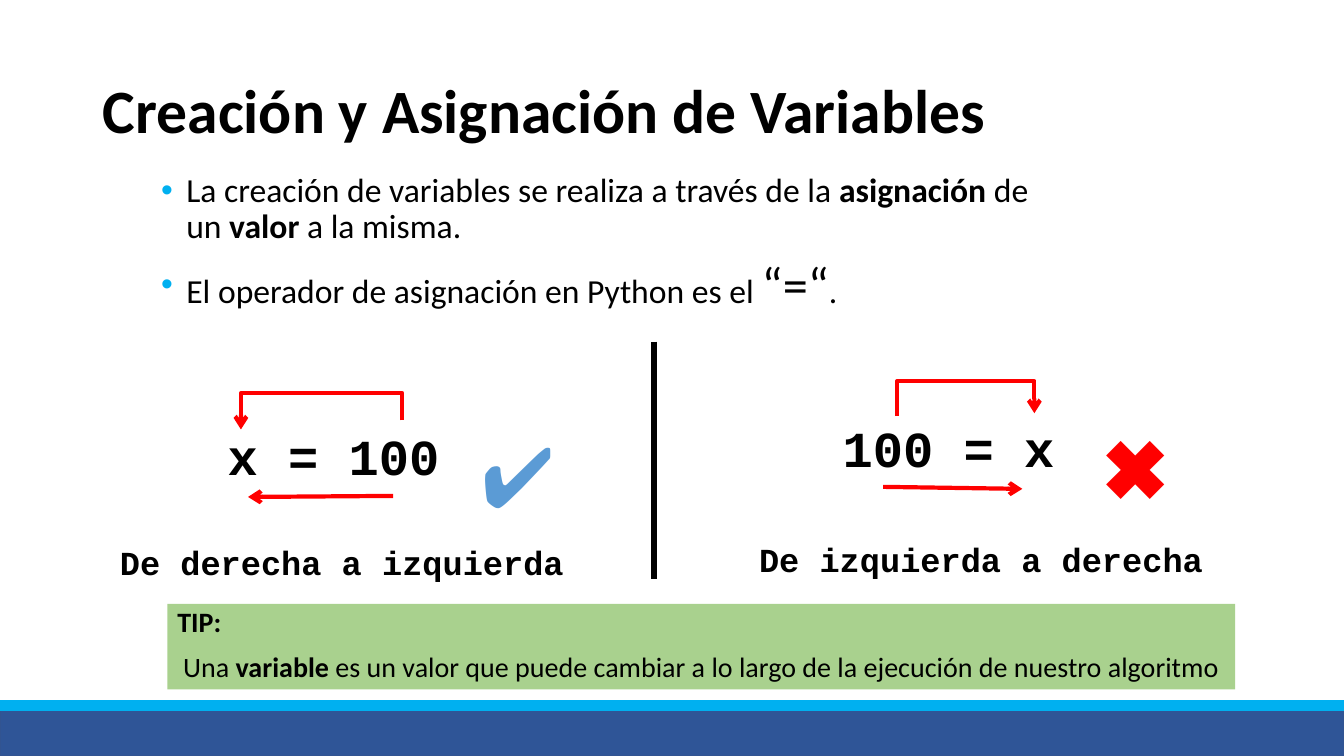
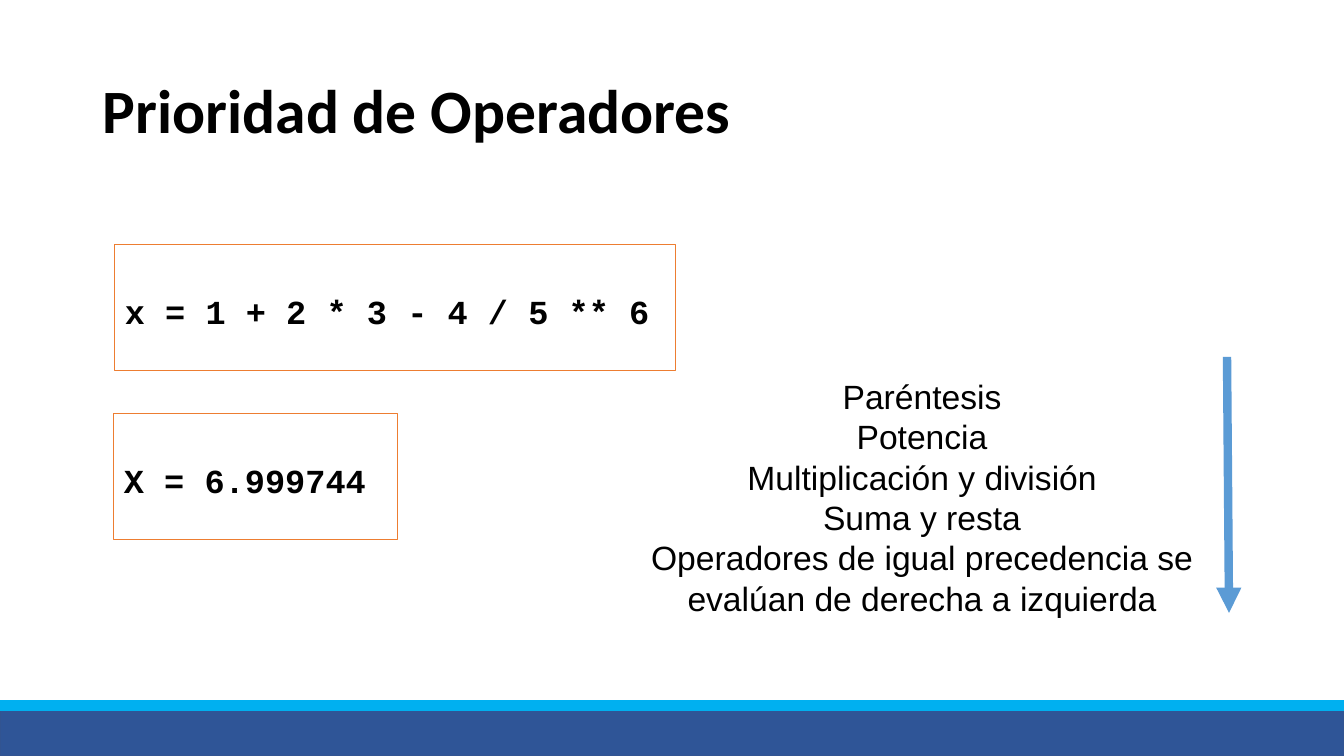
from lxml import etree
from pptx import Presentation
from pptx.dml.color import RGBColor
from pptx.enum.shapes import MSO_CONNECTOR as CONNECTOR, MSO_SHAPE as SHAPE
from pptx.enum.text import MSO_ANCHOR as ANCHOR, PP_ALIGN as ALIGN
from pptx.oxml.ns import qn
from pptx.util import Inches, Pt

NAVY = RGBColor(0x2F, 0x55, 0x97)
NAVY_EDGE = RGBColor(0x32, 0x54, 0x91)
CYAN = RGBColor(0x00, 0xB0, 0xF0)
BLACK = RGBColor(0x00, 0x00, 0x00)
RED = RGBColor(0xFF, 0x00, 0x00)
BLUE = RGBColor(0x5B, 0x9B, 0xD5)
GREEN = RGBColor(0xA9, 0xD1, 0x8E)
ORANGE = RGBColor(0xED, 0x7D, 0x31)
CODE = "Courier New"


def write(frame, *paragraphs, size=24, font="Calibri", color=BLACK, bold=False,
          align=ALIGN.LEFT, spacing=1.0, before=0, bullet=None, anchor=ANCHOR.TOP):
    """Fill a frame; a paragraph is a string or a list of strings and (text, size, bold)."""
    frame.word_wrap = True
    frame.vertical_anchor = anchor
    for i, content in enumerate(paragraphs):
        paragraph = frame.paragraphs[0] if i == 0 else frame.add_paragraph()
        paragraph.alignment = align
        paragraph.line_spacing = spacing
        paragraph.space_before = Pt(before if i else 0)
        if bullet:
            props = paragraph._p.get_or_add_pPr()
            props.set("marL", str(Inches(0.25)))
            props.set("indent", str(-Inches(0.25)))
            bullet_color = etree.SubElement(props, qn("a:buClr"))
            etree.SubElement(bullet_color, qn("a:srgbClr")).set("val", str(bullet))
            etree.SubElement(props, qn("a:buFont")).set("typeface", "Arial")
            etree.SubElement(props, qn("a:buChar")).set("char", "•")
        for part in [content] if isinstance(content, str) else content:
            words, points, strong = (part, size, bold) if isinstance(part, str) else part
            run = paragraph.add_run()
            run.text = words
            run.font.name, run.font.size, run.font.bold = font, Pt(points), strong
            run.font.color.rgb = color


def style_line(connector, color, width, head=None):
    connector.line.color.rgb = color
    connector.line.width = Pt(width)
    if head:
        outline = connector.line._get_or_add_ln()
        etree.SubElement(outline, qn("a:tailEnd")).set("type", head)
    etree.SubElement(connector._element.spPr, qn("a:effectLst"))


prs = Presentation()
prs.slide_width, prs.slide_height = Inches(13.33), Inches(7.5)
title_only = prs.slide_layouts[5]

# Shared layout: a title and no date, footer or number
for holder in list(title_only.placeholders)[1:]:
    holder.element.getparent().remove(holder.element)

# Shared title style
slides = []
for heading in ("Creación y Asignación de Variables", "Prioridad de Operadores"):
    slide = prs.slides.add_slide(title_only)
    title = slide.shapes.title
    title.left, title.top = Inches(0.92), Inches(0.4)
    title.width, title.height = Inches(11.5), Inches(1.45)
    write(title.text_frame, heading, size=44, bold=True, spacing=0.9, anchor=ANCHOR.MIDDLE)
    slides.append(slide)
assignment, priority = [slide.shapes for slide in slides]

# Shared bottom bands, moved into the layout
for top, height, fill, edge in ((7.03, 0.47, NAVY, NAVY_EDGE), (6.95, 0.1, CYAN, CYAN)):
    band = assignment.add_shape(SHAPE.RECTANGLE, 0, Inches(top), prs.slide_width, Inches(height))
    band.shadow.inherit = False
    band.fill.solid()
    band.fill.fore_color.rgb = fill
    band.line.color.rgb = edge
    band.line.width = Pt(1)
    title_only.shapes.element.append(band.element)

# Slide 1: explanation
explanation = assignment.add_textbox(Inches(1.5), Inches(1.67), Inches(9), Inches(1.92))
write(explanation.text_frame,
      ["La creación de variables se realiza a través de la ", ("asignación", 24, True),
       " de un ", ("valor", 24, True), " a la misma."],
      ["El operador de asignación en Python es el ", ("“=“", 36, False), "."],
      spacing=0.9, before=10, bullet=CYAN)

# Slide 1: code, marks and reading directions
for words, left, top, width, height, size, font, color in (
        ("x = 100", 2.16, 4.17, 3.66, 0.67, 36, CODE, BLACK),
        ("100 = x", 8.26, 4.09, 3.66, 0.67, 36, CODE, BLACK),
        ("✔", 4.68, 4.15, 0.91, 1.03, 60, "Arial", BLUE),
        ("✖", 10.84, 4.07, 1.2, 1.03, 60, "Arial", RED),
        ("De derecha a izquierda", 1.09, 5.33, 4.69, 0.48, 24, CODE, BLACK),
        ("De izquierda a derecha", 7.43, 5.3, 4.89, 0.48, 24, CODE, BLACK)):
    label = assignment.add_textbox(Inches(left), Inches(top), Inches(width), Inches(height))
    write(label.text_frame, words, size=size, font=font, color=color, bold=font == CODE)

# Straight lines: direction arrows, divider and priority arrow
for shapes, x1, y1, x2, y2, color, width, head in (
        (assignment, 8.76, 4.83, 10.14, 4.85, RED, 3, "arrow"),
        (assignment, 3.9, 4.92, 2.46, 4.93, RED, 3, "arrow"),
        (assignment, 6.49, 3.39, 6.49, 5.74, BLACK, 4.5, None),
        (priority, 12.17, 3.54, 12.19, 6.08, BLUE, 6, "triangle")):
    line = shapes.add_connector(CONNECTOR.STRAIGHT, Inches(x1), Inches(y1), Inches(x2), Inches(y2))
    style_line(line, color, width, head)

# Slide 1: elbow arrows over the code, turned a quarter so that they rise to a peak
for x1, y1, x2, y2, peak in ((3.99, 4.17, 2.39, 4.26, 3.9), (8.9, 4.13, 10.26, 4.1, 3.78)):
    middle_x, middle_y = (x1 + x2) / 2, (y1 + y2) / 2
    half_run, half_rise = abs(x2 - x1) / 2, abs(y2 - y1) / 2
    elbow = assignment.add_connector(
        CONNECTOR.ELBOW, Inches(middle_x + half_rise), Inches(middle_y + half_run),
        Inches(middle_x - half_rise), Inches(middle_y - half_run))
    props = elbow._element.spPr
    props.find(qn("a:xfrm")).set("rot", str((90 if x2 > x1 else 270) * 60000))
    bend = etree.SubElement(props.find(qn("a:prstGeom")).find(qn("a:avLst")), qn("a:gd"))
    bend.set("name", "adj1")
    bend.set("fmla", f"val {round((y1 - peak) / (y1 - y2) * 100000)}")
    style_line(elbow, RED, 3, "arrow")

# Slide 1: tip
tip = assignment.add_shape(SHAPE.RECTANGLE, Inches(1.66), Inches(5.99), Inches(10.59), Inches(0.85))
tip.shadow.inherit = False
tip.fill.solid()
tip.fill.fore_color.rgb = GREEN
tip.line.fill.background()
write(tip.text_frame, [("TIP:", 20, True)],
      ["Una ", ("variable", 20, True),
       " es un valor que puede cambiar a lo largo de la ejecución de nuestro algoritmo"],
      size=20, spacing=0.9, before=10)
tip.text_frame.paragraphs[1].alignment = ALIGN.CENTER

# Slide 2: expression and result
for code, left, top, width in (("x = 1 + 2 * 3 - 4 / 5 ** 6", 1.14, 2.43, 5.56),
                               ("X = 6.999744", 1.13, 4.1, 2.81)):
    box = priority.add_shape(SHAPE.RECTANGLE, Inches(left), Inches(top), Inches(width), Inches(1.25))
    box.shadow.inherit = False
    box.fill.background()
    box.line.color.rgb = ORANGE
    box.line.width = Pt(0.75)
    box.text_frame.margin_top = Inches(0.46)
    write(box.text_frame, code, font=CODE, bold=True)

# Slide 2: order of the operators
order = priority.add_textbox(Inches(5.88), Inches(3.68), Inches(6.53), Inches(2.93))
write(order.text_frame, "Paréntesis", "Potencia", "Multiplicación y división", "Suma y resta",
      "Operadores de igual precedencia se evalúan de derecha a izquierda",
      font="Arial", align=ALIGN.CENTER)

prs.save("out.pptx")
